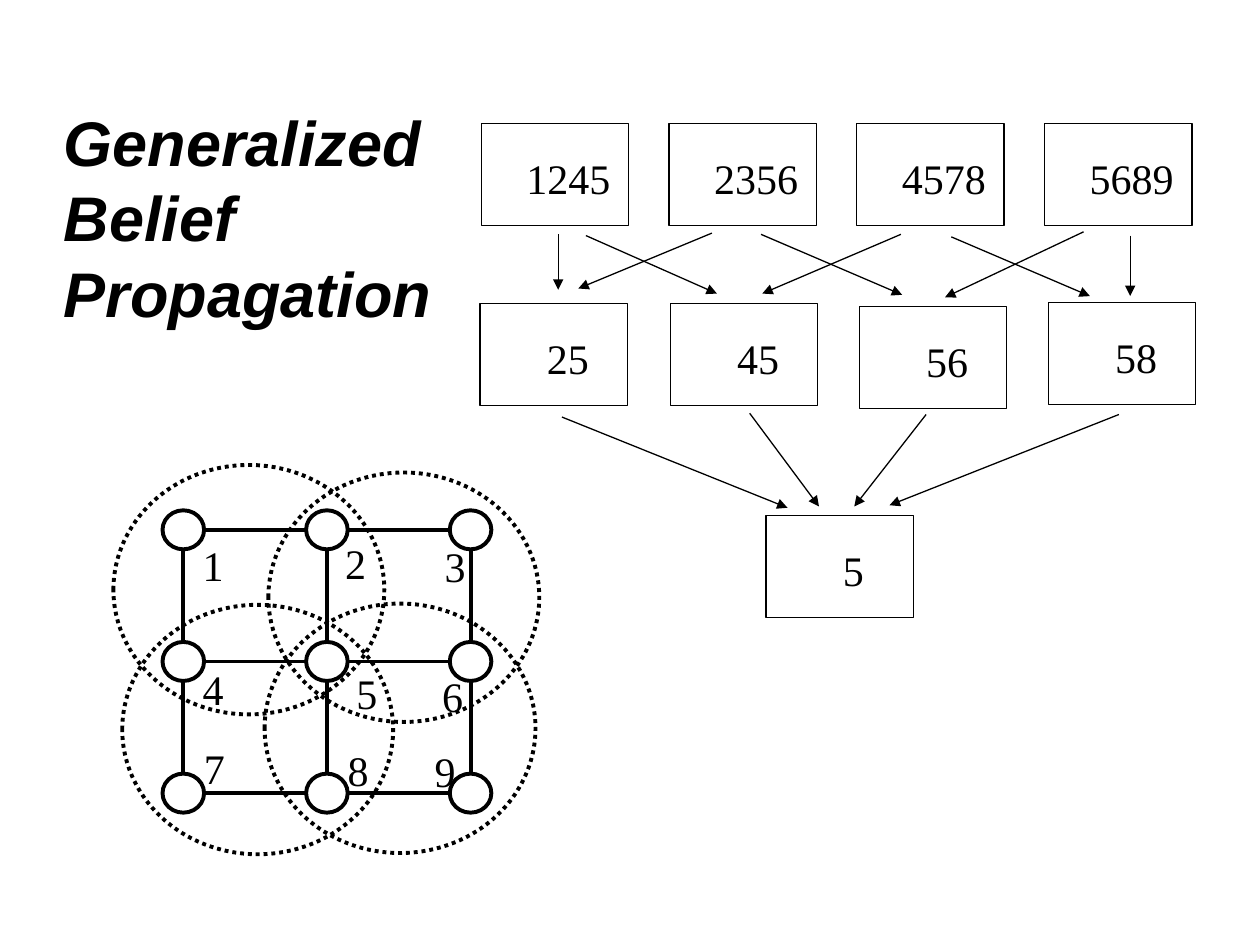
from dataclasses import dataclass

from lxml import etree
from pptx import Presentation
from pptx.dml.color import RGBColor
from pptx.enum import dml, shapes, text
from pptx.oxml import ns
from pptx.util import Inches, Pt


@dataclass(frozen=True)
class Theme:
    ink: RGBColor = RGBColor(0, 0, 0)
    title_font: str = "Arial"
    label_font: str = "Times New Roman"
    title_size: float = 36
    label_size: float = 24
    thin: float = 0.75
    thick: float = 2.25


THEME = Theme()

REGION_SIZE = (1.17, 0.81)
REGIONS = [
    ("1245", 3.82, 0.98, 0), ("2356", 5.31, 0.98, 0),
    ("4578", 6.8, 0.98, 0), ("5689", 8.29, 0.98, 0),
    ("25", 3.81, 2.41, 0.17), ("45", 5.32, 2.41, 0.17),
    ("56", 6.82, 2.43, 0.17), ("58", 8.32, 2.4, 0.17),
    ("5", 6.08, 4.09, 0.25),
]
MESSAGES = [
    (4.43, 1.86, 4.43, 2.3), (4.65, 1.87, 5.69, 2.33),
    (5.65, 1.85, 4.59, 2.29), (6.04, 1.86, 7.16, 2.34),
    (7.15, 1.86, 6.05, 2.33), (7.55, 1.88, 8.65, 2.35),
    (8.6, 1.84, 7.5, 2.36), (8.97, 1.87, 8.97, 2.35),
    (4.46, 3.31, 6.25, 4.03), (5.95, 3.28, 6.5, 4.02),
    (7.35, 3.29, 6.78, 4.02), (8.88, 3.29, 7.06, 4.01),
]
NODE_COLUMNS = [1.29 + 1.14 * i for i in range(3)]
NODE_ROWS = [4.05 + 1.045 * i for i in range(3)]
NODE_SIZE = (0.33, 0.31)
CLUSTER_SIZE = (2.15, 1.98)
CLUSTERS = [(0.9, 3.69), (2.13, 3.75), (0.97, 4.8), (2.1, 4.79)]
NODE_LABELS = [
    (1.51, 4.23), (2.64, 4.22), (3.43, 4.24),
    (1.51, 5.22), (2.73, 5.25), (3.41, 5.27),
    (1.52, 5.84), (2.66, 5.86), (3.35, 5.87),
]


def add_text(parent, wording, left, top, width, height, font=THEME.label_font,
             size=THEME.label_size, bold=False, italic=False, indent=0):
    box = parent.add_textbox(*map(Inches, (left, top, width, height)))
    frame = box.text_frame
    frame.word_wrap = True
    frame.auto_size = text.MSO_AUTO_SIZE.SHAPE_TO_FIT_TEXT
    frame.margin_left = Inches(0.1 + indent)
    paragraph = frame.paragraphs[0]
    paragraph.space_before = Pt(size * 0.625)
    paragraph.line_spacing = Pt(size * 1.2)
    run = paragraph.add_run()
    run.text = wording
    run.font.name = font
    run.font.size = Pt(size)
    run.font.bold = bold
    run.font.italic = italic
    run.font.color.rgb = THEME.ink


def add_outline(parent, kind, left, top, size, weight, dash=None):
    outline = parent.add_shape(kind, *map(Inches, (left, top, *size)))
    outline.shadow.inherit = False
    outline.fill.background()
    outline.line.color.rgb = THEME.ink
    outline.line.width = Pt(weight)
    if dash:
        outline.line.dash_style = dash


def add_line(parent, ends, weight, arrow=False):
    line = parent.add_connector(shapes.MSO_CONNECTOR.STRAIGHT, *map(Inches, ends))
    line.line.color.rgb = THEME.ink
    line.line.width = Pt(weight)
    if arrow:
        etree.SubElement(line.line._get_or_add_ln(), ns.qn("a:tailEnd"), type="triangle")
    etree.SubElement(line._element.spPr, ns.qn("a:effectLst"))


def add_region(parent, wording, left, top, indent):
    region = parent.add_group_shape().shapes
    add_outline(region, shapes.MSO_SHAPE.RECTANGLE, left, top, REGION_SIZE, THEME.thin)
    add_text(region, wording, left + 0.26, top + 0.18, 0.9, 0.5, indent=indent)


def add_lattice(parent):
    width, height = NODE_SIZE
    for left in NODE_COLUMNS:
        for top in NODE_ROWS:
            add_outline(parent, shapes.MSO_SHAPE.OVAL, left, top, NODE_SIZE, THEME.thick)
    for top in NODE_ROWS:
        middle = top + height / 2
        for left, right in zip(NODE_COLUMNS, NODE_COLUMNS[1:]):
            add_line(parent, (left + width, middle, right, middle), THEME.thick)
    for left in NODE_COLUMNS:
        centre = left + width / 2
        for top, bottom in zip(NODE_ROWS, NODE_ROWS[1:]):
            add_line(parent, (centre, top + height, centre, bottom), THEME.thick)


def main():
    deck = Presentation()
    deck.slide_width, deck.slide_height = Inches(10), Inches(7.5)
    canvas = deck.slides.add_slide(deck.slide_layouts[6]).shapes

    for region in REGIONS:
        add_region(canvas, *region)
    for ends in MESSAGES:
        add_line(canvas, ends, THEME.thin, arrow=True)
    add_text(canvas, "Generalized Belief Propagation", 0.41, 0.77, 3.26, 1.9,
             font=THEME.title_font, size=THEME.title_size, bold=True, italic=True)
    add_lattice(canvas)
    for left, top in CLUSTERS:
        add_outline(canvas, shapes.MSO_SHAPE.OVAL, left, top, CLUSTER_SIZE,
                    THEME.thick, dash=dml.MSO_LINE.ROUND_DOT)
    for number, (left, top) in enumerate(NODE_LABELS, start=1):
        add_text(canvas, str(number), left, top, 0.38, 0.5)

    deck.save("out.pptx")


if __name__ == "__main__":
    main()
